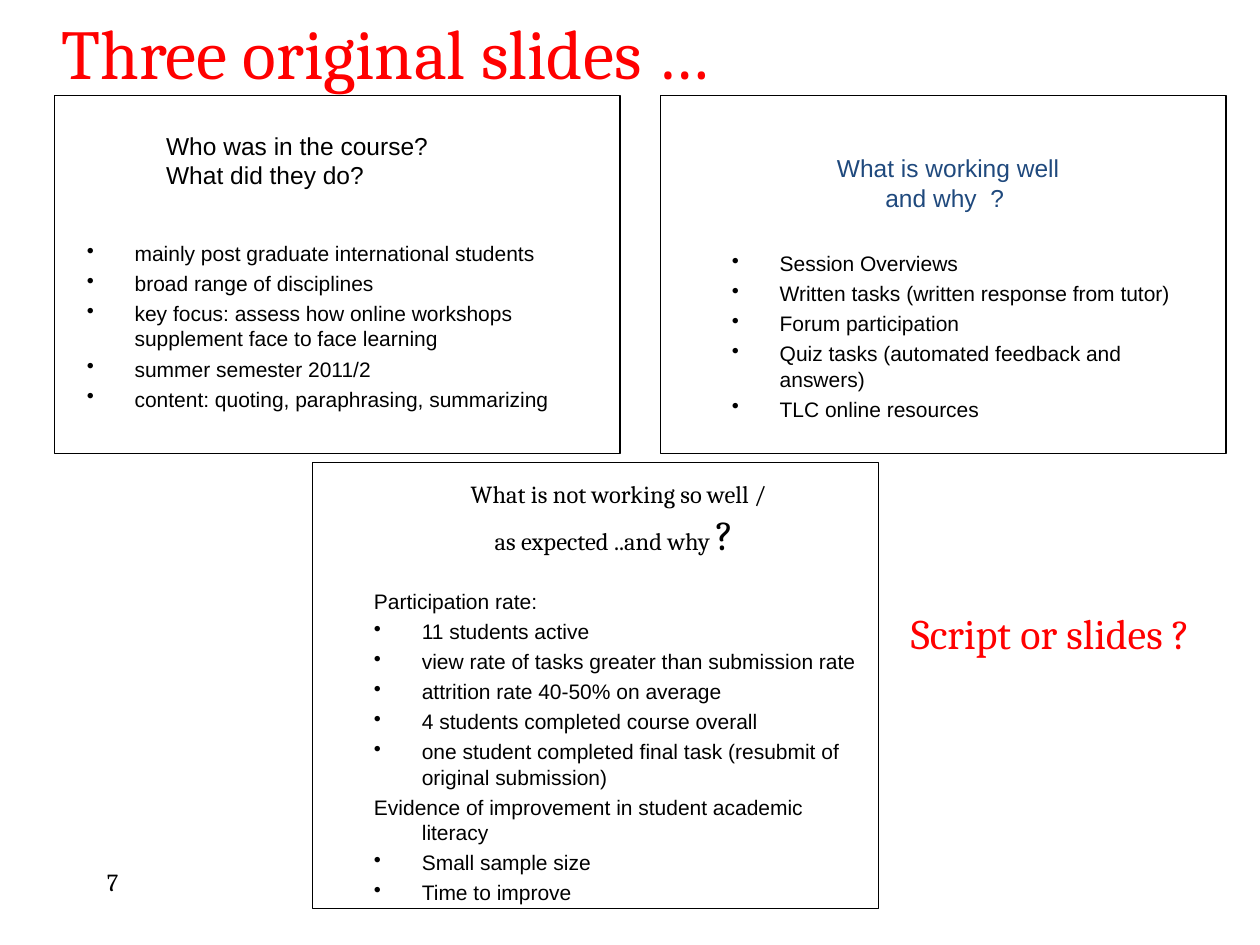
from dataclasses import dataclass

from pptx import Presentation
from pptx.dml.color import RGBColor
from pptx.enum.shapes import MSO_SHAPE as Shape
from pptx.enum.text import MSO_ANCHOR as Anchor, PP_ALIGN as Align
from pptx.oxml.xmlchemy import OxmlElement
from pptx.util import Inches, Pt


@dataclass(frozen=True)
class Theme:
    black = RGBColor(0x00, 0x00, 0x00)
    white = RGBColor(0xFF, 0xFF, 0xFF)
    red = RGBColor(0xFF, 0x00, 0x00)
    blue = RGBColor(0x1F, 0x49, 0x7D)
    sans = "Arial"
    serif = "Cambria"
    title = Pt(40)
    accent = Pt(24)
    heading = Pt(14)
    body = Pt(12)
    body_gap = Pt(2.8)
    indent = Inches(0.38)


THEME = Theme()

COURSE = [
    "mainly post graduate international students",
    "broad range of disciplines",
    "key focus: assess how online workshops supplement face to face learning",
    "summer semester 2011/2",
    "content: quoting, paraphrasing, summarizing",
]
WORKING = [
    "Session Overviews",
    "Written tasks (written response from tutor)",
    "Forum participation",
    "Quiz tasks (automated feedback and answers)",
    "TLC online resources",
]
PARTICIPATION = "Participation rate:"
EVIDENCE = "Evidence of improvement in student academic literacy"
NOT_WORKING = [
    PARTICIPATION,
    "11 students active",
    "view rate of tasks greater than submission rate",
    "attrition rate 40-50% on average",
    "4 students completed course overall",
    "one student completed final task (resubmit of original submission)",
    EVIDENCE,
    "Small sample size",
    "Time to improve",
]


def add_frame(page, left, top, height):
    """Outlined white panel that stands for one small slide."""
    frame = page.shapes.add_shape(
        Shape.RECTANGLE, Inches(left), Inches(top), Inches(4.49), Inches(height))
    frame.shadow.inherit = False
    frame.fill.solid()
    frame.fill.fore_color.rgb = THEME.white
    frame.line.color.rgb = THEME.black
    frame.line.width = Pt(0.75)


def style(para, size, font, color):
    para.font.size = size
    para.font.name = font
    para.font.color.rgb = color


def add_box(page, left, top, width, height):
    box = page.shapes.add_textbox(
        Inches(left), Inches(top), Inches(width), Inches(height))
    box.text_frame.word_wrap = True
    return box.text_frame


def add_text(page, area, text, size, font, color=THEME.black, align=Align.LEFT):
    frame = add_box(page, *area)
    para = frame.paragraphs[0]
    para.text = text
    para.alignment = align
    style(para, size, font, color)
    return frame


def set_indent(para, bullet):
    """Hanging indent, with or without a bullet sign."""
    props = para._p.get_or_add_pPr()
    props.set("marL", str(THEME.indent))
    props.set("indent", str(-THEME.indent))
    if bullet:
        mark = OxmlElement("a:buChar")
        mark.set("char", "•")
        props.append(mark)


def add_list(page, area, items, plain=(), hanging=()):
    """Bulleted list; plain items have no indent, hanging items no bullet."""
    frame = add_box(page, *area)
    for index, item in enumerate(items):
        para = frame.add_paragraph() if index else frame.paragraphs[0]
        para.text = item
        para.space_before = THEME.body_gap
        style(para, THEME.body, THEME.sans, THEME.black)
        if item not in plain:
            set_indent(para, bullet=item not in hanging)


def main():
    deck = Presentation()
    deck.slide_width, deck.slide_height = Inches(10), Inches(7.5)
    page = deck.slides.add_slide(deck.slide_layouts[6])

    # Panels
    add_frame(page, 2.48, 3.67, 3.54)
    for left in (5.24, 0.43):
        add_frame(page, left, 0.76, 2.84)

    # Page number
    add_text(page, (0.75, 6.83, 2.08, 0.5), "7", THEME.heading, THEME.serif)

    # Left panel: the course
    add_text(page, (1.22, 0.99, 2.36, 0.86),
             "Who was in the course? \vWhat did they do?", THEME.heading, THEME.sans)
    add_list(page, (0.59, 1.86, 4.09, 1.51), COURSE)

    # Right panel: what works
    heading = add_text(page, (6.5, 0.99, 2.05, 0.92), "What is working well and why  ? ",
                       THEME.heading, THEME.sans, THEME.blue, Align.CENTER)
    heading.vertical_anchor = Anchor.MIDDLE
    add_list(page, (5.71, 1.94, 4.01, 1.43), WORKING)

    # Lower panel: what does not work
    heading = add_text(page, (3.58, 3.75, 2.66, 0.74),
                       "What is not working so well / as expected ..and why ",
                       THEME.heading, THEME.serif, align=Align.CENTER)
    span = heading.paragraphs[0].add_run()
    span.text = "? "
    span.font.size = THEME.accent
    add_list(page, (2.87, 4.62, 4.17, 2.6), NOT_WORKING,
             plain=[PARTICIPATION], hanging=[EVIDENCE])

    # Title and closing question
    add_text(page, (0.39, 0.03, 7.17, 0.77), "Three original slides …",
             THEME.title, THEME.serif, THEME.red)
    add_text(page, (7.13, 4.77, 2.52, 0.5), "Script or slides ?",
             THEME.accent, THEME.serif, THEME.red)

    deck.save("out.pptx")


if __name__ == "__main__":
    main()
